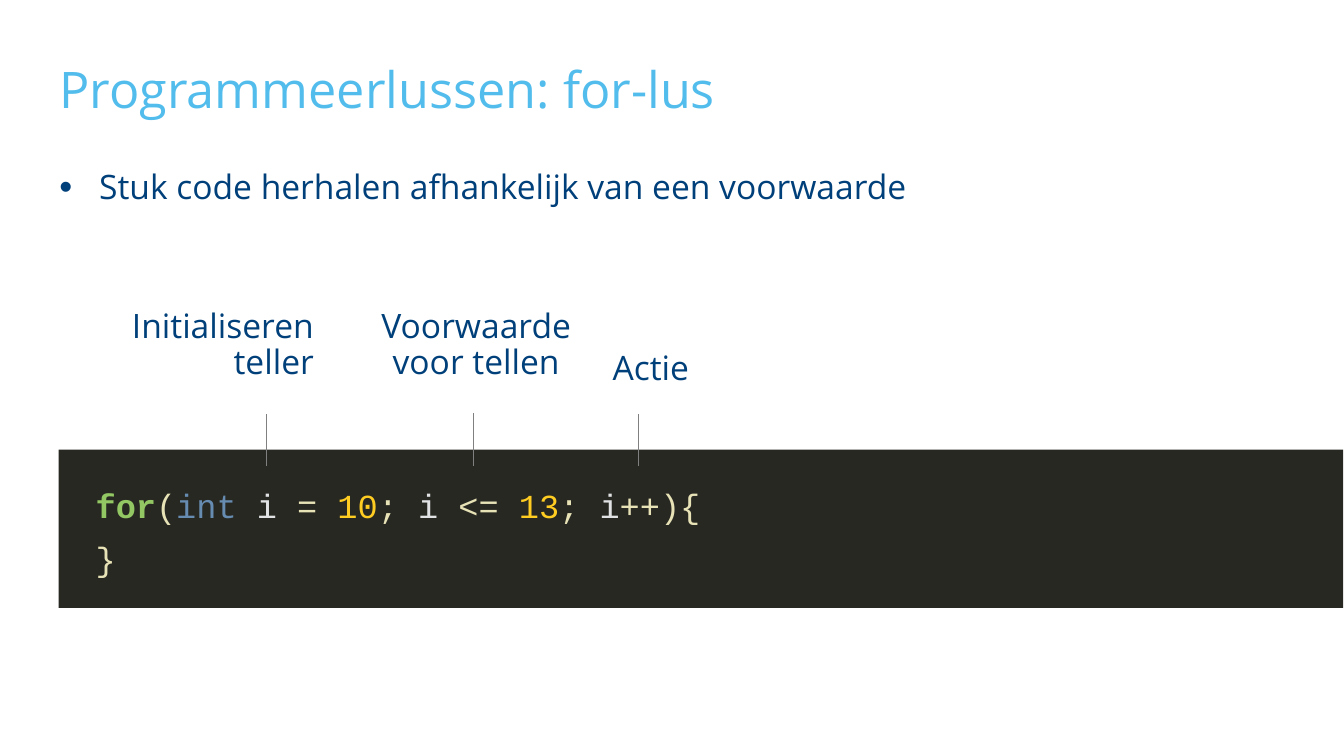
from dataclasses import dataclass

import lxml.etree
import pptx
import pptx.dml.color
import pptx.enum.shapes
import pptx.enum.text
import pptx.oxml.ns
import pptx.util

Cm = pptx.util.Cm
Pt = pptx.util.Pt
Align = pptx.enum.text.PP_ALIGN
Anchor = pptx.enum.text.MSO_ANCHOR
qn = pptx.oxml.ns.qn

TEXT_FONT, CODE_FONT = "Open Sans", "Courier New"
SKY, NAVY, GREY, CODE_BACK = "52BDEC", "00407A", "808080", "272822"
KEYWORD, SYMBOL, TYPE, NAME, NUMBER = "93C763", "E8E2B7", "678CB1", "E0E2E4", "FFCD22"
POINTER_BOTTOM = 11.73


@dataclass
class Label:
    text: str
    left: float
    top: float
    width: float
    height: float
    align: Align
    pointer_x: float
    pointer_top: float


LABELS = [
    Label("Initialiseren teller", 2.01, 7.67, 6.15, 2.31, Align.RIGHT, 6.71, 10.44),
    Label("Voorwaarde voor tellen", 9.17, 7.67, 5.66, 2.31, Align.CENTER, 11.94, 10.41),
    Label("Actie", 15.19, 8.74, 6.15, 1.27, Align.LEFT, 16.1, 10.44),
]

CODE_LINES = [
    [("for", KEYWORD), ("(", SYMBOL), ("int ", TYPE), ("i ", NAME), ("= ", SYMBOL),
     ("10", NUMBER), ("; ", SYMBOL), ("i ", NAME), ("<= ", SYMBOL), ("13", NUMBER),
     ("; ", SYMBOL), ("i", NAME), ("++){", SYMBOL)],
    [("}", SYMBOL)],
]


def rgb(value: str) -> pptx.dml.color.RGBColor:
    return pptx.dml.color.RGBColor.from_string(value)


def add_frame(slide, left: float, top: float, width: float, height: float,
              inset: bool = False):
    """Add a wrapping text box, without margins unless inset is set."""
    frame = slide.shapes.add_textbox(Cm(left), Cm(top), Cm(width), Cm(height)).text_frame
    frame.word_wrap = True
    if not inset:
        frame.margin_left = frame.margin_top = 0
        frame.margin_right = frame.margin_bottom = 0
    return frame


def style(paragraph, font: str, size: float, spacing: float, color: str = "") -> None:
    paragraph.line_spacing = spacing
    paragraph.font.name = font
    paragraph.font.size = Pt(size)
    if color:
        paragraph.font.color.rgb = rgb(color)


def add_bullet(paragraph) -> None:
    properties = paragraph._p.get_or_add_pPr()
    properties.set("marL", str(Cm(1)))
    properties.set("indent", str(-Cm(1)))
    for tag, key, value in (("a:buSzPct", "val", "110000"),
                            ("a:buFont", "typeface", "Arial"),
                            ("a:buChar", "char", "•")):
        lxml.etree.SubElement(properties, qn(tag)).set(key, value)


def add_code(slide) -> None:
    panel = slide.shapes.add_shape(pptx.enum.shapes.MSO_SHAPE.RECTANGLE,
                                   Cm(1.48), Cm(11.33), Cm(32.37), Cm(3.99))
    panel.shadow.inherit = False
    panel.fill.solid()
    panel.fill.fore_color.rgb = rgb(CODE_BACK)
    panel.line.fill.background()

    code = add_frame(slide, 2.41, 12.12, 31.42, 4.8)
    for number, tokens in enumerate(CODE_LINES):
        line = code.add_paragraph() if number else code.paragraphs[0]
        style(line, CODE_FONT, 24, 1.1)
        if number:
            line.space_before = Pt(5.8)
        for text, color in tokens:
            token = line.add_run()
            token.text = text
            token.font.color.rgb = rgb(color)
            if color == KEYWORD:
                token.font.bold = True


def add_label(slide, label: Label) -> None:
    frame = add_frame(slide, label.left, label.top, label.width, label.height, inset=True)
    caption = frame.paragraphs[0]
    caption.text = label.text
    caption.alignment = label.align
    style(caption, TEXT_FONT, 24, 0.9, NAVY)

    pointer = slide.shapes.add_connector(
        pptx.enum.shapes.MSO_CONNECTOR.STRAIGHT,
        Cm(label.pointer_x), Cm(POINTER_BOTTOM), Cm(label.pointer_x), Cm(label.pointer_top))
    pointer.line.color.rgb = rgb(GREY)
    pointer.line.width = Pt(0.75)
    lxml.etree.SubElement(pointer._element.spPr, qn("a:effectLst"))


def main() -> None:
    deck = pptx.Presentation()
    deck.slide_width, deck.slide_height = Cm(33.87), Cm(19.05)
    slide = deck.slides.add_slide(deck.slide_layouts[6])

    # Title
    heading = add_frame(slide, 1.5, 0.51, 31.62, 2.49)
    heading.vertical_anchor = Anchor.BOTTOM
    title = heading.paragraphs[0]
    title.text = "Programmeerlussen: for-lus"
    style(title, TEXT_FONT, 36, 0.9, SKY)

    # Explanation
    purpose = add_frame(slide, 1.5, 4.29, 31.8, 5.92).paragraphs[0]
    purpose.text = "Stuk code herhalen afhankelijk van een voorwaarde"
    add_bullet(purpose)
    style(purpose, TEXT_FONT, 24, 0.9, NAVY)

    # Code with its labels and pointers
    add_code(slide)
    for label in LABELS:
        add_label(slide, label)

    deck.save("out.pptx")


if __name__ == "__main__":
    main()
